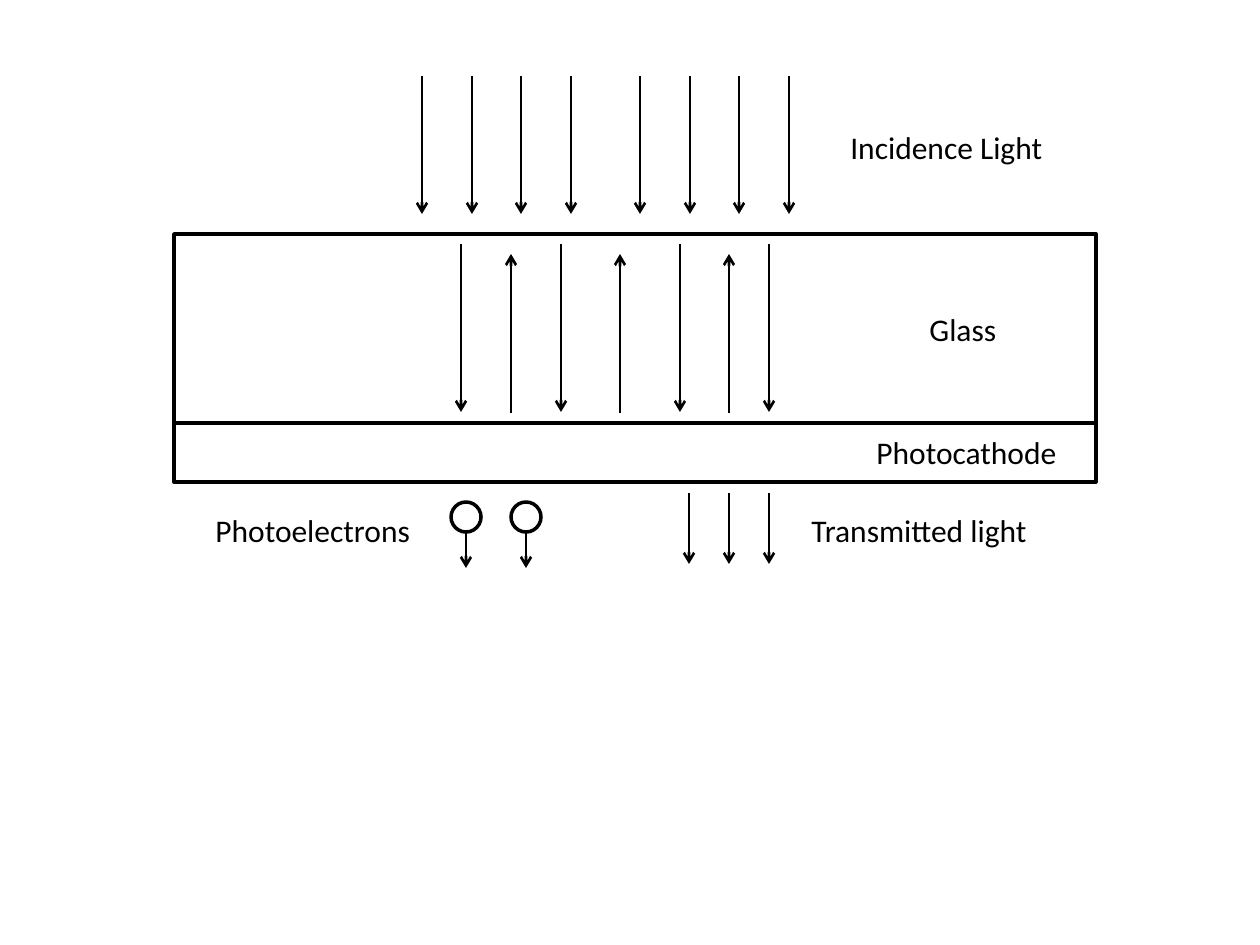
from dataclasses import dataclass
from typing import Any

from lxml import etree
from pptx import Presentation
from pptx.dml.color import RGBColor
from pptx.enum.shapes import MSO_CONNECTOR, MSO_SHAPE
from pptx.enum.text import MSO_AUTO_SIZE
from pptx.oxml.ns import qn
from pptx.util import Emu, Pt

STRAIGHT = MSO_CONNECTOR.STRAIGHT
RECT = MSO_SHAPE.RECTANGLE
OVAL = MSO_SHAPE.OVAL
FIT_TEXT = MSO_AUTO_SIZE.SHAPE_TO_FIT_TEXT
BLACK = RGBColor(0, 0, 0)
FONT = {"name": "Calibri", "size": Pt(18)}
PX_PER_INCH = 126


@dataclass
class Layer:
    top: int
    height: int


@dataclass
class Label:
    text: str
    left: int
    top: int
    width: int
    wrap: bool = True


@dataclass
class Rays:
    xs: list[int]
    start: int
    end: int


LAYER_LEFT, LAYER_WIDTH = 174, 922
GLASS = Layer(234, 189)
PHOTOCATHODE = Layer(GLASS.top + GLASS.height, 59)

LABELS = [
    Label("Glass", 917, 304, 110),
    Label("Photocathode", 864, 427, 208, False),
    Label("Incidence Light", 838, 122, 253),
    Label("Photoelectrons", 203, 505, 233),
    Label("Transmitted light", 799, 505, 258),
]
LABEL_HEIGHT = 50

INCIDENT_XS = [left + round(i * 49.6) for left in (422, 640) for i in range(4)]
RAYS = [
    Rays(INCIDENT_XS, 76, 214),
    Rays([461, 561, 680, 769], 244, 412),
    Rays([511, 620, 729], 413, 254),
    Rays([689, 729, 769], 493, 564),
]

ELECTRON_LEFTS = [451, 511]
ELECTRON_TOP, ELECTRON_SIZE, ELECTRON_END = 502, 30, 568


def px(n: int) -> Emu:
    return Emu(round(n * 914400 / PX_PER_INCH))


def add_outline(shapes: Any, kind: Any, left: int, top: int, width: int, height: int) -> None:
    sp = shapes.add_shape(kind, px(left), px(top), px(width), px(height))
    sp.shadow.inherit = False
    sp.fill.background()
    sp.line.color.rgb = BLACK
    sp.line.width = Pt(2)


def add_arrow(shapes: Any, x: int, start: int, end: int) -> None:
    cx = shapes.add_connector(STRAIGHT, px(x), px(start), px(x), px(end))
    cx.line.color.rgb = BLACK
    cx.line.width = Pt(1.5)
    ln = cx.line._get_or_add_ln()
    etree.SubElement(ln, qn("a:tailEnd"), type="arrow")
    etree.SubElement(cx._element.spPr, qn("a:effectLst"))


def add_label(shapes: Any, label: Label) -> None:
    tb = shapes.add_textbox(px(label.left), px(label.top), px(label.width), px(LABEL_HEIGHT))
    tf = tb.text_frame
    tf.word_wrap = label.wrap
    tf.auto_size = FIT_TEXT
    r = tf.paragraphs[0].add_run()
    r.text = label.text
    for key, value in FONT.items():
        setattr(r.font, key, value)
    r.font.color.rgb = BLACK


def add_electron(shapes: Any, left: int) -> None:
    group = shapes.add_group_shape()
    add_outline(group.shapes, OVAL, left, ELECTRON_TOP, ELECTRON_SIZE, ELECTRON_SIZE)
    add_arrow(group.shapes, left + ELECTRON_SIZE // 2, ELECTRON_TOP + ELECTRON_SIZE, ELECTRON_END)


prs = Presentation()
prs.slide_width, prs.slide_height = px(1260), px(945)
s = prs.slides.add_slide(prs.slide_layouts[6])

for layer in (GLASS, PHOTOCATHODE):
    add_outline(s.shapes, RECT, LAYER_LEFT, layer.top, LAYER_WIDTH, layer.height)
for rays in RAYS:
    for x in rays.xs:
        add_arrow(s.shapes, x, rays.start, rays.end)
for left in ELECTRON_LEFTS:
    add_electron(s.shapes, left)
for label in LABELS:
    add_label(s.shapes, label)

prs.save("out.pptx")
